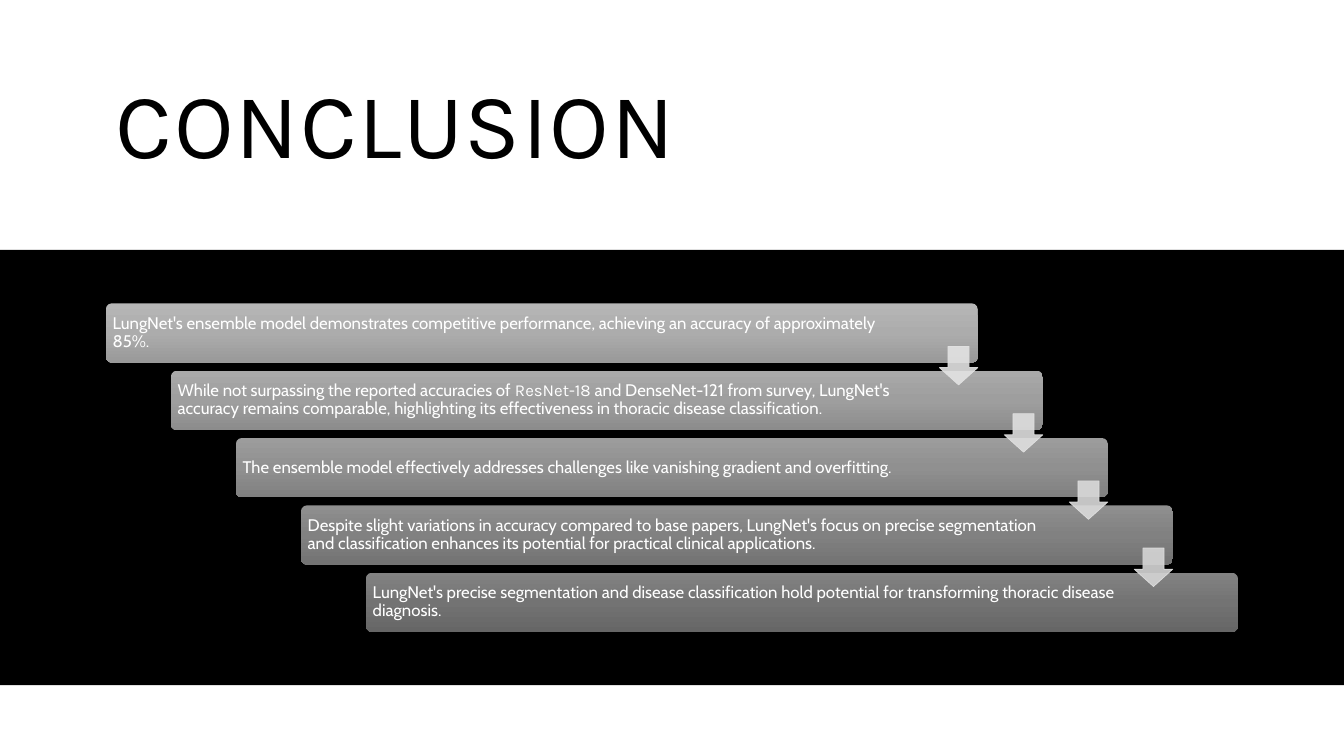
"""Build the conclusion slide: five stepped cards linked by down arrows."""
from copy import deepcopy
from dataclasses import dataclass

from pptx import Presentation
from pptx.dml.color import RGBColor
from pptx.enum.shapes import MSO_SHAPE
from pptx.enum.text import MSO_ANCHOR, MSO_AUTO_SIZE, PP_ALIGN
from pptx.oxml.ns import qn
from pptx.util import Pt

RECTANGLE = MSO_SHAPE.RECTANGLE
CARD = MSO_SHAPE.ROUNDED_RECTANGLE
ARROW = MSO_SHAPE.DOWN_ARROW
MIDDLE = MSO_ANCHOR.MIDDLE
LEFT = PP_ALIGN.LEFT
NO_AUTOFIT = MSO_AUTO_SIZE.NONE
TITLE_ONLY = 5


@dataclass(frozen=True)
class Theme:
    paper: str = "FFFFFF"
    ink: str = "000000"
    arrow_line: str = "E3E3E3"
    heading_font: str = "Karla"
    body_font: str = "Cabin"
    heading_size: float = 66
    body_size: float = 12


THEME = Theme()
WIDTH, HEIGHT = 960, 540
CARD_STEP = (46.45, 48.1)
ARROW_STEP = (46.4, 48)

CONCLUSIONS = [
    ([("LungNet's ensemble model demonstrates competitive performance, "
       "achieving an accuracy of approximately 85%.", THEME.body_font)],
     ("B6B6B6", "ACACAC", "999999"), 52.3),
    ([("While not surpassing the reported accuracies of ", THEME.body_font),
      ("ResNet-18", THEME.heading_font),
      (" and DenseNet-121 from survey, LungNet's accuracy remains comparable, "
       "highlighting its effectiveness in thoracic disease classification.",
       THEME.body_font)],
     ("A9A9A9", "9E9E9E", "8C8C8C"), 78.2),
    ([("The ensemble model effectively addresses challenges like vanishing "
       "gradient and overfitting.", THEME.body_font)],
     ("9C9C9C", "909090", "808080"), 78.2),
    ([("Despite slight variations in accuracy compared to base papers, "
       "LungNet's focus on precise segmentation and classification enhances "
       "its potential for practical clinical applications.", THEME.body_font)],
     ("8F8F8F", "818181", "737373"), 78.2),
    ([("LungNet's precise segmentation and disease classification hold "
       "potential for transforming thoracic disease diagnosis.",
       THEME.body_font)],
     ("838383", "737373", "666666"), 78.2),
]
ARROW_FILLS = ["E3E3E3", "DEDEDE", "DADADA", "D5D5D5"]


def apply_format(target, values):
    """Set each named attribute on the target."""
    for name, value in values.items():
        setattr(target, name, value)


def add_run(paragraph, text, font, size, color):
    """Append a formatted run and return it."""
    run = paragraph.add_run()
    run.text = text
    apply_format(run.font, {"name": font, "size": Pt(size)})
    run.font.color.rgb = RGBColor.from_string(color)
    return run


def add_block(slide, preset, left, top, width, height):
    """Add a preset shape with neither shadow nor outline."""
    block = slide.shapes.add_shape(
        preset, Pt(left), Pt(top), Pt(width), Pt(height))
    block.shadow.inherit = False
    block.line.fill.background()
    return block


def fill_solid(fill, color):
    """Fill with one plain colour."""
    fill.solid()
    fill.fore_color.rgb = RGBColor.from_string(color)


def fill_gradient(block, colors):
    """Fill with three evenly spaced colours from top to bottom."""
    block.fill.gradient()
    block.fill.gradient_angle = 270
    first_stop = block.element.xpath(".//a:gs")[0]
    first_stop.addnext(deepcopy(first_stop))
    for index, (stop, color) in enumerate(
            zip(block.fill.gradient_stops, colors)):
        stop.position = index / 2
        stop.color.rgb = RGBColor.from_string(color)


def set_title(slide, text):
    """Place and format the slide title."""
    title = slide.shapes.title
    apply_format(title, {"left": Pt(75.6), "top": Pt(25.2),
                         "width": Pt(808.6), "height": Pt(133.9)})
    apply_format(title.text_frame, {"vertical_anchor": MIDDLE,
                                    "word_wrap": True,
                                    "auto_size": NO_AUTOFIT})
    paragraph = title.text_frame.paragraphs[0]
    apply_format(paragraph, {"alignment": LEFT, "line_spacing": 0.9})
    run = add_run(paragraph, text, THEME.heading_font,
                  THEME.heading_size, THEME.ink)
    run.font._element.set("spc", "120")


def add_card(slide, index, runs, colors, right_inset):
    """Add one conclusion card at its step of the staircase."""
    card = add_block(slide, CARD, 75.6 + index * CARD_STEP[0],
                     216.7 + index * CARD_STEP[1], 622.8, 42.3)
    card.adjustments[0] = 0.1
    fill_gradient(card, colors)
    apply_format(card.text_frame, {
        "word_wrap": True, "vertical_anchor": MIDDLE,
        "margin_left": Pt(3.6), "margin_right": Pt(right_inset),
        "margin_top": Pt(3.6), "margin_bottom": Pt(3.6)})
    paragraph = card.text_frame.paragraphs[0]
    apply_format(paragraph, {"alignment": LEFT, "line_spacing": 0.9})
    for text, font in runs:
        add_run(paragraph, text, font, THEME.body_size, THEME.paper)


def add_step_arrow(slide, index, color):
    """Add the translucent arrow leading to the next card."""
    arrow = add_block(slide, ARROW, 671 + index * ARROW_STEP[0],
                      247.5 + index * ARROW_STEP[1], 27.5, 27.5)
    arrow.adjustments[0] = 0.55
    arrow.adjustments[1] = 0.45
    fill_solid(arrow.fill, color)
    fill_solid(arrow.line.fill, THEME.arrow_line)
    arrow.line.width = Pt(0.5)
    for tint in arrow.element.spPr.iter(qn("a:srgbClr")):
        alpha = tint.makeelement(qn("a:alpha"), {"val": "90000"})
        tint.append(alpha)


def main():
    """Build and save the slide."""
    deck = Presentation()
    apply_format(deck, {"slide_width": Pt(WIDTH), "slide_height": Pt(HEIGHT)})
    slide = deck.slides.add_slide(deck.slide_layouts[TITLE_ONLY])
    fill_solid(slide.background.fill, THEME.paper)
    set_title(slide, "CONCLUSION")
    band = add_block(slide, RECTANGLE, 0, 178.5, WIDTH, 311)
    fill_solid(band.fill, THEME.ink)
    for index, (runs, colors, right_inset) in enumerate(CONCLUSIONS):
        add_card(slide, index, runs, colors, right_inset)
    for index, color in enumerate(ARROW_FILLS):
        add_step_arrow(slide, index, color)
    deck.save("out.pptx")


if __name__ == "__main__":
    main()
